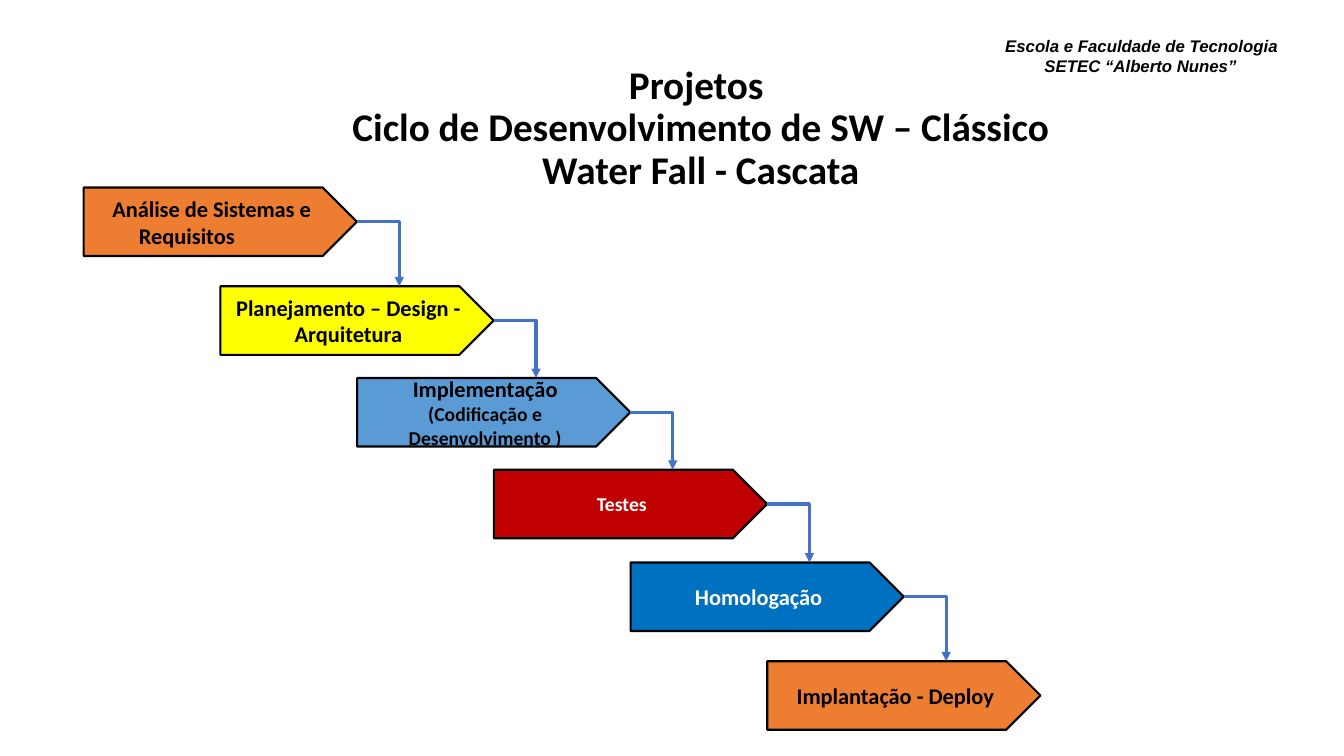
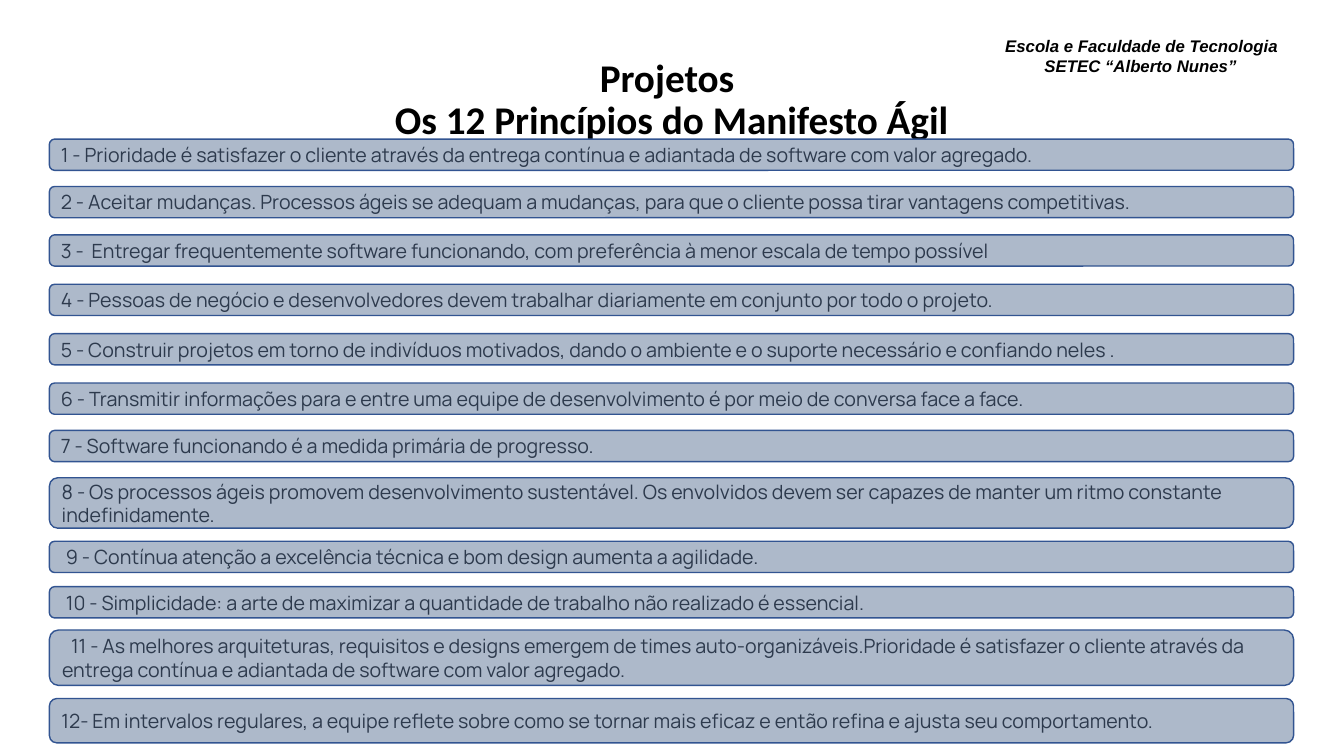
from lxml import etree
from pptx import Presentation
from pptx.dml.color import RGBColor
from pptx.enum.shapes import MSO_CONNECTOR, MSO_SHAPE
from pptx.enum.text import MSO_ANCHOR, MSO_AUTO_SIZE, PP_ALIGN
from pptx.oxml.ns import qn
from pptx.util import Inches, Pt

ELBOW = MSO_CONNECTOR.ELBOW
PENTAGON, ROUNDED = MSO_SHAPE.PENTAGON, MSO_SHAPE.ROUNDED_RECTANGLE
TOP, MIDDLE = MSO_ANCHOR.TOP, MSO_ANCHOR.MIDDLE
LEFT, CENTER = PP_ALIGN.LEFT, PP_ALIGN.CENTER

BLACK, WHITE = "000000", "FFFFFF"
ORANGE, YELLOW, SKY, RED, BLUE = "ED7D31", "FFFF00", "5B9BD5", "C00000", "0070C0"
ARROW_BLUE = "4472C4"
BAR_FILL, BAR_LINE, BAR_TEXT = "ADB9CA", "325491", "2D3A4D"
rgb = RGBColor.from_string


def write(paragraph, text, size, color=BLACK, font="Calibri", bold=True, italic=False):
    run = paragraph.add_run()
    run.text = text
    run.font.size = Pt(size)
    run.font.name = font
    run.font.bold = bold
    run.font.italic = italic
    run.font.color.rgb = rgb(color)


def add_box(slide, preset, left, top, width, height, fill, line, line_width):
    """Add a flat filled shape with wrapped, vertically centred text."""
    box = slide.shapes.add_shape(
        preset, Inches(left), Inches(top), Inches(width), Inches(height))
    box.shadow.inherit = False
    box.fill.solid()
    box.fill.fore_color.rgb = rgb(fill)
    box.line.color.rgb = rgb(line)
    box.line.width = Pt(line_width)
    box.text_frame.word_wrap = True
    box.text_frame.vertical_anchor = MIDDLE
    return box


prs = Presentation()
prs.slide_width, prs.slide_height = Inches(13.33), Inches(7.5)
layout = prs.slide_layouts[5]

# Titles
titles = [
    (0.78, 0.6, ["Projetos ", "Ciclo de Desenvolvimento de SW – Clássico", "Water Fall - Cascata"]),
    (0.49, 0.53, ["Projetos ", "Os 12 Princípios do Manifesto Ágil"]),
]
slides = []
for left, top, lines in titles:
    slide = prs.slides.add_slide(layout)
    title = slide.shapes.title
    title.left, title.top = Inches(left), Inches(top)
    title.width, title.height = Inches(12.34), Inches(1.03)
    frame = title.text_frame
    frame.word_wrap = True
    frame.auto_size = MSO_AUTO_SIZE.NONE
    frame.vertical_anchor = TOP
    for number, line in enumerate(lines):
        paragraph = frame.add_paragraph() if number else frame.paragraphs[0]
        paragraph.alignment = CENTER
        paragraph.line_spacing = 0.9
        write(paragraph, line, 28)
    slides.append(slide)
waterfall, principles_slide = slides

# School name, moved to the layout so that both slides share it
school = waterfall.shapes.add_textbox(
    Inches(9.96), Inches(0.35), Inches(2.74), Inches(0.65))
frame = school.text_frame
frame.word_wrap = True
frame.margin_left = frame.margin_right = frame.margin_top = frame.margin_bottom = 0
paragraph = frame.paragraphs[0]
hanging = paragraph._p.get_or_add_pPr()
hanging.set("marL", str(Inches(0.4)))
hanging.set("indent", str(Inches(-0.39)))
write(paragraph, "Escola e Faculdade de Tecnologia SETEC “Alberto Nunes”", 12,
      font="Arial", italic=True)
layout.shapes.element.append(school.element)

# Waterfall stages: top, fill, text colour, paragraphs of (text, size) runs
stages = [
    (1.86, ORANGE, BLACK, [[("Análise de Sistemas e", 16)], [("Requisitos", 16)]]),
    (2.84, YELLOW, BLACK, [[("Planejamento – Design - Arquitetura", 16)]]),
    (3.75, SKY, BLACK, [[("Implementação ", 16), ("(Codificação e Desenvolvimento )", 14)]]),
    (4.66, RED, WHITE, [[("Testes", 14)]]),
    (5.58, BLUE, WHITE, [[("Homologação", 16)]]),
    (6.56, ORANGE, BLACK, [[("Implantação - Deploy", 16)]]),
]
STAGE_WIDTH, STAGE_HEIGHT = 2.71, 0.68
FIRST_LEFT, LAST_LEFT = 0.83, 7.61
step = (LAST_LEFT - FIRST_LEFT) / (len(stages) - 1)

for index, (top, fill, color, paragraphs) in enumerate(stages):
    left = FIRST_LEFT + index * step
    stage = add_box(waterfall, PENTAGON, left, top, STAGE_WIDTH, STAGE_HEIGHT, fill, BLACK, 1.5)
    frame = stage.text_frame
    for number, runs in enumerate(paragraphs):
        paragraph = frame.add_paragraph() if number else frame.paragraphs[0]
        paragraph.alignment = CENTER
        if number:
            paragraph.alignment = LEFT
            paragraph._p.get_or_add_pPr().set("marL", str(Inches(0.45)))
        for text, size in runs:
            write(paragraph, text, size, color)

for index, (stage, following) in enumerate(zip(stages, stages[1:])):
    tip = FIRST_LEFT + index * step + STAGE_WIDTH
    arrow = waterfall.shapes.add_connector(
        ELBOW, Inches(tip), Inches(stage[0] + STAGE_HEIGHT / 2),
        Inches(tip + 0.42), Inches(following[0]))
    arrow.line.color.rgb = rgb(ARROW_BLUE)
    arrow.line.width = Pt(2.25)
    properties = arrow.element.spPr
    properties.find(qn("a:prstGeom")).set("prst", "bentConnector2")
    etree.SubElement(properties.find(qn("a:ln")), qn("a:tailEnd"), type="triangle")
    etree.SubElement(properties, qn("a:effectLst"))

# Agile principles: top, height, first-line indent, text
principles = [
    (1.38, 0.31, 0, "1 - Prioridade é satisfazer o cliente através da entrega contínua e adiantada de software com valor agregado."),
    (1.85, 0.31, 0, "2 - Aceitar mudanças. Processos ágeis se adequam a mudanças, para que o cliente possa tirar vantagens competitivas."),
    (2.33, 0.31, 0, "3 -  Entregar frequentemente software funcionando, com preferência à menor escala de tempo possível"),
    (2.82, 0.31, 0, "4 - Pessoas de negócio e desenvolvedores devem trabalhar diariamente em conjunto por todo o projeto."),
    (3.31, 0.31, 0, "5 - Construir projetos em torno de indivíduos motivados, dando o ambiente e o suporte necessário e confiando neles ."),
    (3.8, 0.31, 0, "6 - Transmitir informações para e entre uma equipe de desenvolvimento é por meio de conversa face a face."),
    (4.27, 0.31, 0, "7 - Software funcionando é a medida primária de progresso."),
    (4.74, 0.5, 0, "8 - Os processos ágeis promovem desenvolvimento sustentável. Os envolvidos devem ser capazes de manter um ritmo constante indefinidamente."),
    (5.37, 0.31, 0.05, "9 - Contínua atenção a excelência técnica e bom design aumenta a agilidade."),
    (5.82, 0.31, 0.05, "10 - Simplicidade: a arte de maximizar a quantidade de trabalho não realizado é essencial."),
    (6.25, 0.55, 0.09, "11 - As melhores arquiteturas, requisitos e designs emergem de times auto-organizáveis.Prioridade é satisfazer o cliente através da entrega contínua e adiantada de software com valor agregado."),
    (6.93, 0.44, 0, "12- Em intervalos regulares, a equipe reflete sobre como se tornar mais eficaz e então refina e ajusta seu comportamento."),
]
for top, height, indent, text in principles:
    bar = add_box(principles_slide, ROUNDED, 0.49, top, 12.34, height, BAR_FILL, BAR_LINE, 1)
    paragraph = bar.text_frame.paragraphs[0]
    paragraph.alignment = LEFT
    paragraph._p.get_or_add_pPr().set("indent", str(Inches(indent)))
    write(paragraph, text, 14, BAR_TEXT, font="Manrope", bold=False)

prs.save("out.pptx")
